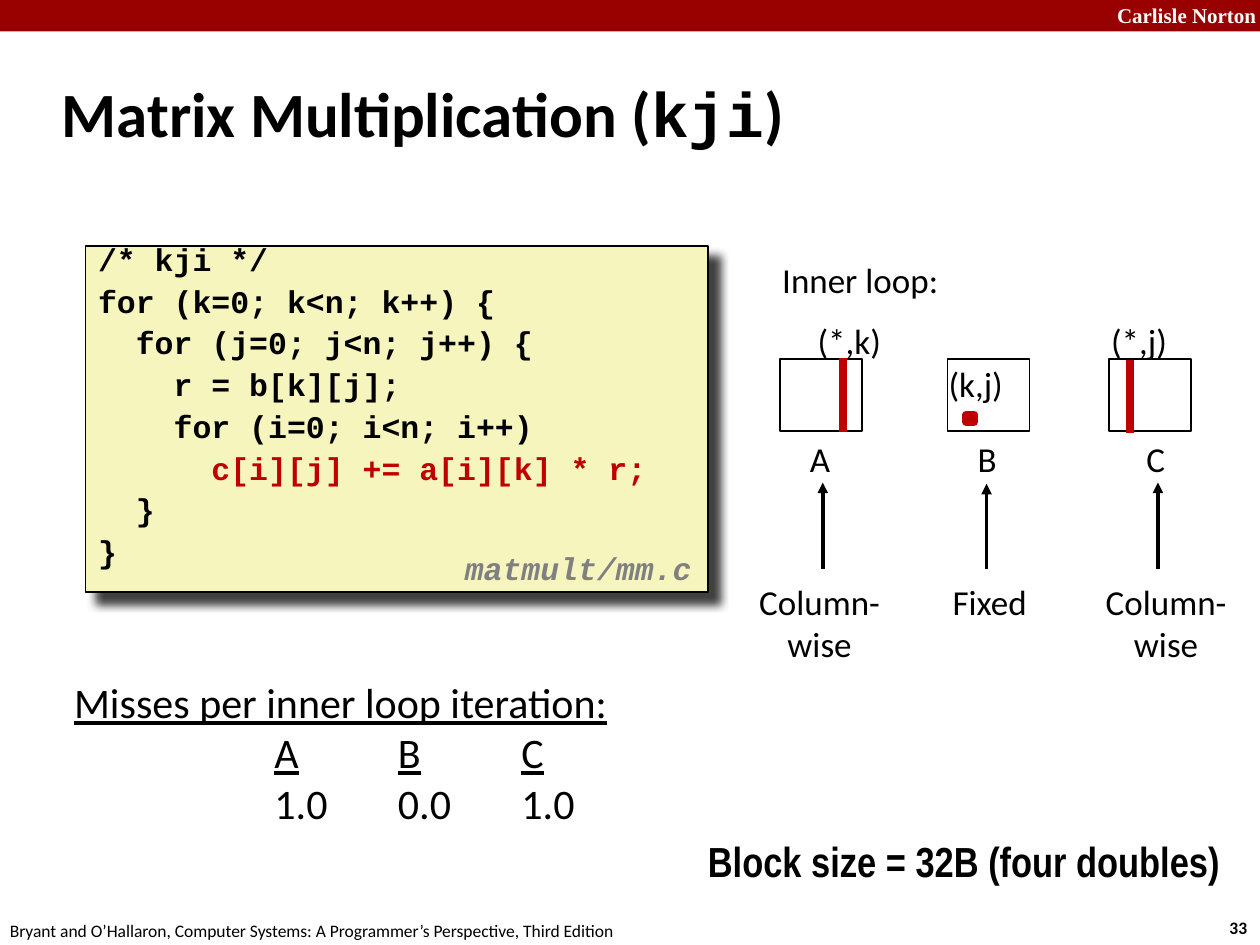
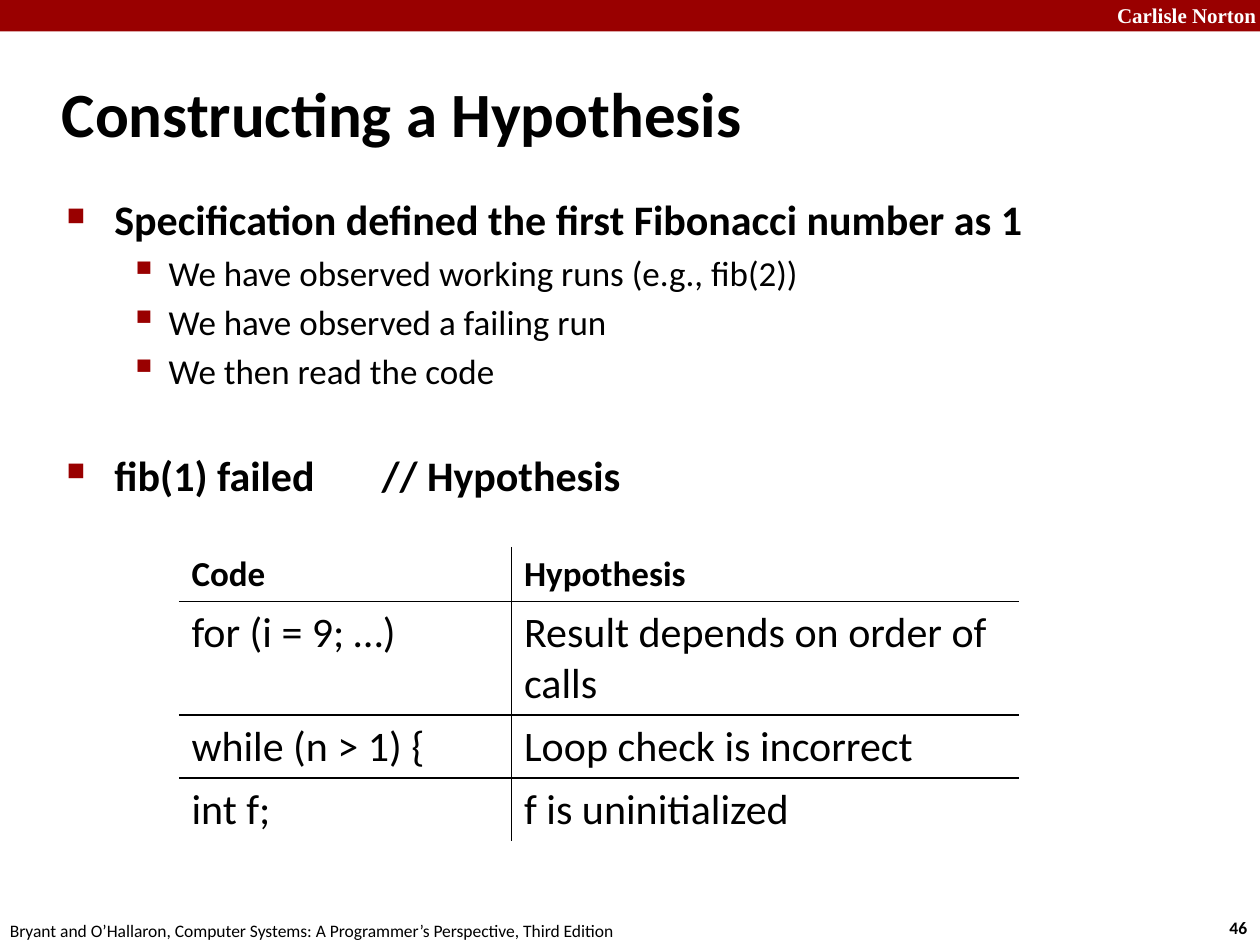
from lxml import etree
from pptx import Presentation
from pptx.dml.color import RGBColor as RGB
from pptx.enum.shapes import MSO_CONNECTOR as CONNECTOR, MSO_SHAPE as SHAPE
from pptx.enum.text import MSO_ANCHOR as ANCHOR, PP_ALIGN as ALIGN
from pptx.oxml import parse_xml
from pptx.oxml.ns import nsdecls, qn
from pptx.util import Inches, Pt

COLORS = {
    "black": "000000", "white": "FFFFFF", "band": "990000",
    "accent": "C00000", "code": "F6F5BD", "file": "808080",
}
BODY = {"name": "Calibri", "size": Pt(20), "color": "black"}
LARGE = {**BODY, "size": Pt(24)}
TITLE = {**BODY, "size": Pt(36), "bold": True}
SMALL = {**BODY, "size": Pt(10)}
CODE = {**BODY, "name": "Courier New", "size": Pt(18), "bold": True}


def add_box(slide, spot, fill=None, line=None, weight=1):
    """Add a filled rectangle, or a text box when no fill is given."""
    place = [Inches(value) for value in spot]
    if fill is None:
        return slide.shapes.add_textbox(*place)
    box = slide.shapes.add_shape(SHAPE.RECTANGLE, *place)
    box.shadow.inherit = False
    box.fill.solid()
    box.fill.fore_color.rgb = RGB.from_string(COLORS[fill])
    if line:
        box.line.color.rgb = RGB.from_string(COLORS[line])
        box.line.width = Pt(weight)
    else:
        box.line.fill.background()
    return box


def write(holder, paragraphs, style, wrap=False, **layout):
    """Write paragraphs, each a string or a list of (text, style changes)."""
    frame = holder.text_frame
    frame.word_wrap = wrap
    for number, runs in enumerate(paragraphs):
        paragraph = frame.paragraphs[0] if number == 0 else frame.add_paragraph()
        for key, value in {"alignment": ALIGN.LEFT, **layout}.items():
            setattr(paragraph, key, value)
        for text, changes in [(runs, {})] if isinstance(runs, str) else runs:
            run = paragraph.add_run()
            run.text = text
            for key, value in {**style, **changes}.items():
                if key == "color":
                    run.font.color.rgb = RGB.from_string(COLORS[value])
                else:
                    setattr(run.font, key, value)
    return frame.paragraphs


prs = Presentation()
prs.slide_width, prs.slide_height = Inches(10), Inches(7.5)

# Shared band, footer, number and title
titles = [
    (33, [("Matrix Multiplication (", {}), ("kji", {"name": "Courier New"}), (")", {})]),
    (46, "Constructing a Hypothesis"),
]
for number, heading in titles:
    slide = prs.slides.add_slide(prs.slide_layouts[5])
    add_box(slide, (0, 0, 10, 0.25), "band")
    write(add_box(slide, (8.64, -0.03, 1.43, 0.3)), ["Carlisle Norton"],
          {"name": "Times New Roman", "size": Pt(12), "color": "white", "bold": True},
          wrap=True, alignment=ALIGN.RIGHT)
    write(add_box(slide, (9.66, 7.23, 0.37, 0.27)), [str(number)], {**SMALL, "bold": True})
    write(add_box(slide, (-0.02, 7.25, 5.08, 0.27)),
          ["Bryant and O’Hallaron, Computer Systems: A Programmer’s Perspective, Third Edition"],
          SMALL)
    title = slide.shapes.title
    title.left, title.top, title.width, title.height = map(Inches, (0.39, 0.48, 8.3, 0.83))
    title.text_frame.vertical_anchor = ANCHOR.MIDDLE
    write(title, [heading], TITLE, wrap=True)

matrix_slide, hypothesis_slide = prs.slides

# Code listing, with its nesting set by paragraph indents
listing = [
    (0, "/* kji */"),
    (0, "for (k=0; k<n; k++) {"),
    (1, "for (j=0; j<n; j++) {"),
    (2, "r = b[k][j];"),
    (2, "for (i=0; i<n; i++)"),
    (3, [("c[i][j] += a[i][k] * r;", {"color": "accent"})]),
    (1, "}"),
    (0, "}"),
]
code_box = add_box(matrix_slide, (0.68, 1.95, 4.94, 2.75), "code", "black")
code_box.text_frame.vertical_anchor = ANCHOR.TOP
code_lines = write(code_box, [text for _, text in listing], CODE, wrap=True,
                   line_spacing=0.65, space_before=Pt(9.8))
for line, (depth, _) in zip(code_lines, listing):
    line._p.get_or_add_pPr().set("marL", str(Inches(0.3 * depth)))
shadow = parse_xml(
    f'<a:outerShdw {nsdecls("a")} blurRad="{Pt(5)}" dist="{Pt(8.5)}" dir="2700000" '
    f'algn="tl" rotWithShape="0"><a:srgbClr val="{COLORS["black"]}">'
    '<a:alpha val="75000"/></a:srgbClr></a:outerShdw>')
code_box._element.spPr.find(qn("a:effectLst")).append(shadow)
write(add_box(matrix_slide, (3.59, 4.33, 2.08, 0.39)), ["matmult/mm.c"],
      {**CODE, "color": "file", "italic": True}, line_spacing=0.94)

# Inner loop: matrices, their names and access patterns
write(add_box(matrix_slide, (6.11, 2, 1.45, 0.43)), ["Inner loop:"], BODY)
matrices = [
    # name, box left, name spot, index, index spot, access, access spot
    ("A", 6.19, (6.33, 3.42, 0.37, 0.43), "(*,k)", (6.39, 2.49, 0.71, 0.43),
     ["Column-", "wise"], (5.92, 4.56, 1.17, 0.77)),
    ("B", 7.52, (7.66, 3.42, 0.35, 0.43), "(k,j)", (7.43, 2.83, 0.63, 0.43),
     ["Fixed"], (7.46, 4.56, 0.79, 0.43)),
    ("C", 8.8, (9, 3.42, 0.35, 0.43), "(*,j)", (8.72, 2.49, 0.65, 0.43),
     ["Column-", "wise"], (8.67, 4.56, 1.17, 0.77)),
]
for name, left, name_spot, index, index_spot, access, access_spot in matrices:
    add_box(matrix_slide, (left, 2.85, 0.65, 0.57), "white", "black")
    write(add_box(matrix_slide, name_spot), [name], BODY)
    write(add_box(matrix_slide, index_spot), [index], BODY)
    write(add_box(matrix_slide, access_spot), access, BODY, alignment=ALIGN.CENTER)
add_box(matrix_slide, (7.67, 3.29, 0.06, 0.06), "black", "accent", 4.5)

# Accessed columns and arrows
strokes = [
    # x, bottom, top, colour, weight, arrowhead
    (6.69, 3.43, 2.84, "accent", 4.5, False),
    (8.97, 3.44, 2.86, "accent", 4.5, False),
    (6.53, 4.52, 3.83, "black", 2, True),
    (7.83, 4.52, 3.84, "black", 2, True),
    (9.19, 4.52, 3.83, "black", 2, True),
]
for x, bottom, top, color, weight, arrowhead in strokes:
    stroke = matrix_slide.shapes.add_connector(
        CONNECTOR.STRAIGHT, Inches(x), Inches(bottom), Inches(x), Inches(top))
    stroke.line.color.rgb = RGB.from_string(COLORS[color])
    stroke.line.width = Pt(weight)
    if arrowhead:
        etree.SubElement(stroke.line._get_or_add_ln(), qn("a:tailEnd"), type="triangle")
    etree.SubElement(stroke._element.spPr, qn("a:effectLst"))

# Miss counts in tabbed columns
underlined = {"underline": True}
miss_lines = write(
    add_box(matrix_slide, (0.49, 5.32, 5.43, 1.34)),
    [[("Misses per inner loop iteration:", underlined)],
     [part for name in "ABC" for part in (("\t", {}), (name, underlined))],
     "\t1.0\t0.0\t1.0"],
    LARGE, wrap=True)
for line in miss_lines[1:]:
    tabs = etree.SubElement(line._p.get_or_add_pPr(), qn("a:tabLst"))
    for column in range(3):
        etree.SubElement(tabs, qn("a:tab"), pos=str(Inches(1.59 + 0.98 * column)), algn="l")
write(add_box(matrix_slide, (5.52, 6.58, 4.4, 0.5)), ["Block size = 32B (four doubles)"],
      {**LARGE, "name": "Arial Narrow", "bold": True}, wrap=True)

# Bulleted reasoning
main, detail = {"size": Pt(24), "bold": True}, {}
bullets = [
    # text, style, space before
    ("Specification defined the first Fibonacci number as 1", main, 4.8),
    ("We have observed working runs (e.g., fib(2))", detail, 4),
    ("We have observed a failing run", detail, 4),
    ("We then read the code", detail, 4),
    ("fib(1) failed\t\t// Hypothesis", main, 33),
]
reasoning = write(add_box(hypothesis_slide, (0.43, 1.49, 8.64, 5.44)),
                  [[(text, style)] for text, style, _ in bullets], BODY, wrap=True)
for line, (_, style, gap) in zip(reasoning, bullets):
    line.space_before = Pt(gap)
    margin, hang, size, mark = (
        (0.38, 0.38, 60, "■") if style is main else (0.81, 0.31, 110, "▪"))
    props = line._p.get_or_add_pPr()
    props.set("marL", str(Inches(margin)))
    props.set("indent", str(-Inches(hang)))
    bullet_color = etree.SubElement(props, qn("a:buClr"))
    etree.SubElement(bullet_color, qn("a:srgbClr"), val=COLORS["band"])
    etree.SubElement(props, qn("a:buSzPct"), val=str(size * 1000))
    etree.SubElement(props, qn("a:buChar"), char=mark)

# Hypothesis table with inner rules only
rows = [
    ("Code", "Hypothesis"),
    ("for (i = 9; …)", "Result depends on order of calls"),
    ("while (n > 1) {", "Loop check is incorrect"),
    ("int f;", "f is uninitialized"),
]
table = hypothesis_slide.shapes.add_table(
    len(rows), 2, Inches(1.42), Inches(4.34), Inches(6.67), Inches(1.64)).table
table.first_row = table.horz_banding = False
for column, width in zip(table.columns, (2.64, 4.03)):
    column.width = Inches(width)
for r, row in enumerate(rows):
    table.rows[r].height = Inches(0.41)
    for c, text in enumerate(row):
        cell = table.cell(r, c)
        write(cell, [text], LARGE if r else {**BODY, "bold": True}, wrap=True)
        edges = {"lnL": c == 1, "lnR": c == 0, "lnT": r > 0, "lnB": r < len(rows) - 1}
        for edge, inner in edges.items():
            rule = etree.SubElement(cell._tc.get_or_add_tcPr(), qn(f"a:{edge}"),
                                    w=str(Pt(1)))
            if inner:
                ink = etree.SubElement(rule, qn("a:solidFill"))
                etree.SubElement(ink, qn("a:srgbClr"), val=COLORS["black"])
            else:
                etree.SubElement(rule, qn("a:noFill"))
        cell.fill.solid()
        cell.fill.fore_color.rgb = RGB.from_string(COLORS["white"])

prs.save("out.pptx")
